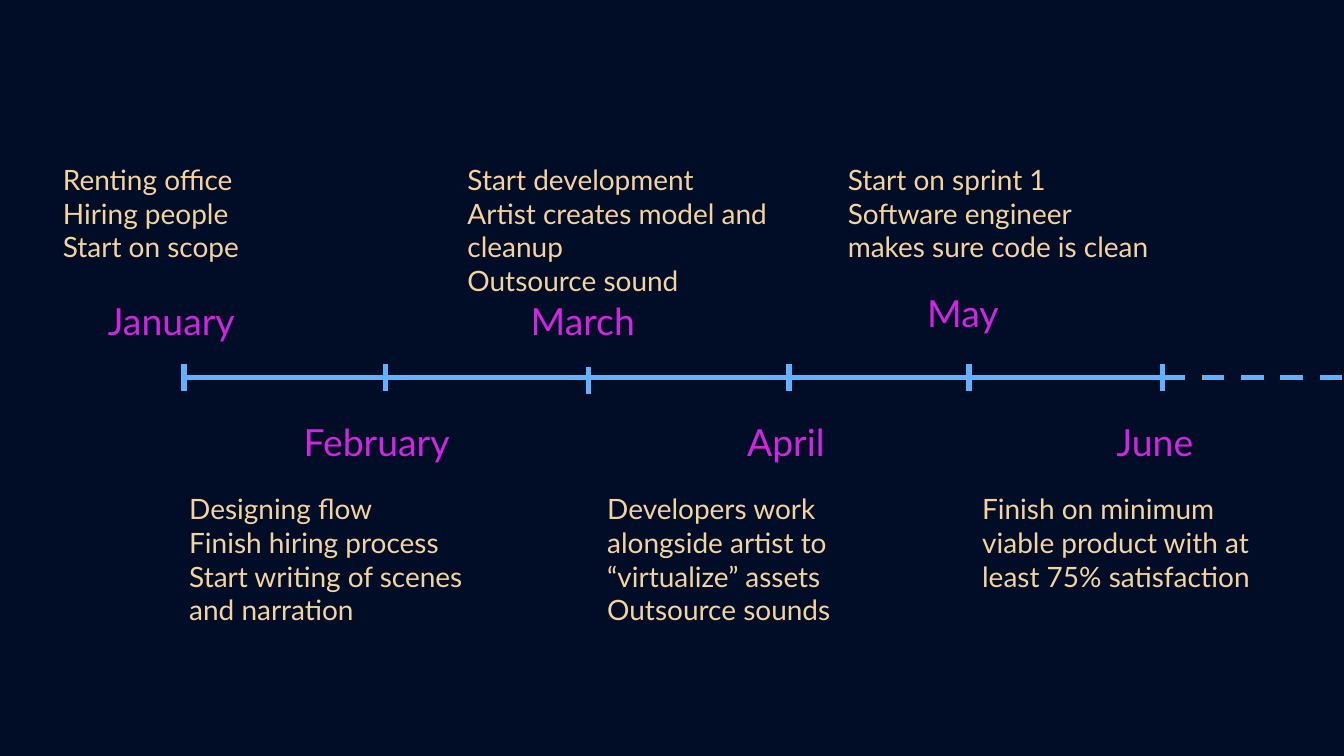
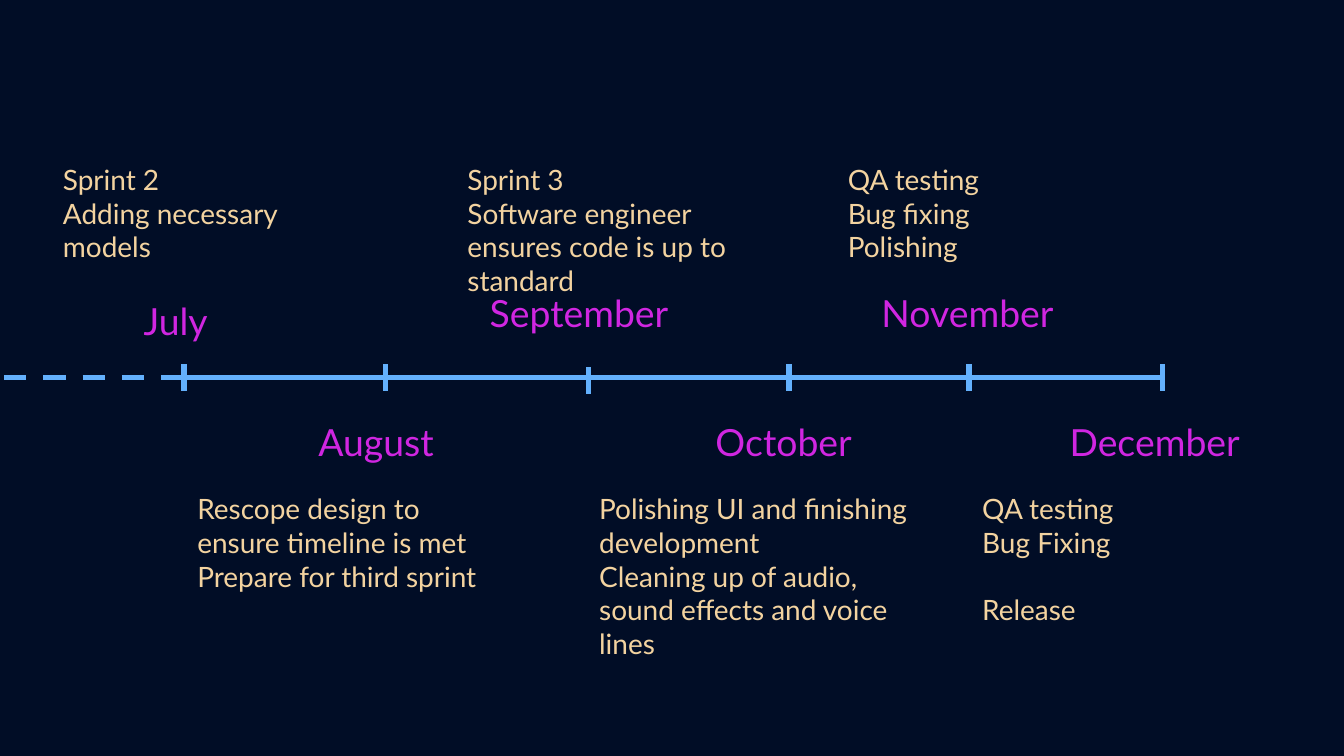
"""Builds a two-slide timeline of a project year."""
from pptx import Presentation
from pptx.dml.color import RGBColor as Rgb
from pptx.enum.dml import MSO_LINE as Dash
from pptx.enum.shapes import MSO_CONNECTOR as Conn
from pptx.enum.text import MSO_AUTO_SIZE as Fit
from pptx.oxml.ns import qn
from pptx.util import Inches, Pt

HUES = {"back": "010D26", "line": "63B0FC", "month": "D026E1", "task": "F3D3A0"}
FONT = "Lato"
AXIS = 2.81
TICKS = [1.37, 2.87, 4.38, 5.87, 7.21, 8.65]
TASK_TOP = [1.11, 3.56]

HALVES = [
    ((8.65, 10.07), [
        ("January", 1.33, 2.12, 0.37, 2.5, 0.96,
         ["Renting office", "Hiring people", "Start on scope"]),
        ("February", 1.42, 3.02, 1.31, 2.56, 1.21,
         ["Designing flow", "Finish hiring process",
          "Start writing of scenes and narration"]),
        ("March", 1.06, 2.12, 3.38, 2.48, 1.21,
         ["Start development", "Artist creates model and cleanup",
          "Outsource sound"]),
        ("April", 0.82, 3.02, 4.42, 2.44, 1.21,
         ["Developers work alongside artist to “virtualize” assets",
          "Outsource sounds"]),
        ("May", 0.82, 2.06, 6.21, 2.44, 1.21,
         ["Start on sprint 1", "Software engineer makes sure code is clean"]),
        ("June", 0.88, 3.02, 7.21, 2.44, 0.96,
         ["Finish on minimum viable product with at least 75% satisfaction"]),
    ]),
    ((0.03, 1.45), [
        ("July", 0.8, 2.12, 0.37, 2.5, 0.96,
         ["Sprint 2", "Adding necessary models"]),
        ("August", 1.2, 3.02, 1.37, 2.5, 0.96,
         ["Rescope design to ensure timeline is met",
          "Prepare for third sprint"]),
        ("September", 1.67, 2.06, 3.38, 2.5, 1.21,
         ["Sprint 3", "Software engineer ensures code is up to standard"]),
        ("October", 1.29, 3.02, 4.36, 2.5, 1.46,
         ["Polishing UI and finishing development",
          "Cleaning up of audio, sound effects and voice lines"]),
        ("November", 1.5, 2.06, 6.21, 2.44, 1.21,
         ["QA testing", "Bug fixing", "Polishing"]),
        ("December", 1.58, 3.02, 7.21, 2.44, 1.21,
         ["QA testing", "Bug Fixing", "Release"]),
    ]),
]


def add_line(slide, x1, y1, x2, y2, dash=None):
    line = slide.shapes.add_connector(
        Conn.STRAIGHT, Inches(x1), Inches(y1), Inches(x2), Inches(y2))
    line.line.color.rgb = Rgb.from_string(HUES["line"])
    line.line.width = Pt(3)
    if dash:
        line.line.dash_style = dash
    props = line.element.spPr
    props.append(props.makeelement(qn("a:effectLst"), {}))


def add_text(slide, x, y, w, h, rows, size, hue):
    box = slide.shapes.add_textbox(Inches(x), Inches(y), Inches(w), Inches(h))
    frame = box.text_frame
    frame.word_wrap = True
    frame.auto_size = Fit.SHAPE_TO_FIT_TEXT
    frame.margin_left = frame.margin_right = Inches(0.1)
    frame.margin_top = frame.margin_bottom = Inches(0.1)
    for i, row in enumerate(rows):
        para = frame.paragraphs[0] if i == 0 else frame.add_paragraph()
        if row == "Release":
            para.space_before = Pt(18)
        run = para.add_run()
        run.text = row
        run.font.name = FONT
        run.font.size = Pt(size)
        run.font.color.rgb = Rgb.from_string(HUES[hue])


deck = Presentation()
deck.slide_width = Inches(10)
deck.slide_height = Inches(10 * 9 / 16)

for (start, end), months in HALVES:
    slide = deck.slides.add_slide(deck.slide_layouts[6])
    fill = slide.background.fill
    fill.solid()
    fill.fore_color.rgb = Rgb.from_string(HUES["back"])

    add_line(slide, 1.35, AXIS, 8.65, AXIS)
    add_line(slide, start, AXIS, end, AXIS, Dash.DASH)
    for i, x in enumerate(TICKS):
        mid = AXIS + 0.02 if i == 2 else AXIS
        add_line(slide, x, mid - 0.1, x, mid + 0.1)

    for i, (name, wide, top, left, width, height, tasks) in enumerate(months):
        add_text(slide, TICKS[i] - wide / 2, top, wide, 0.54, [name], 20, "month")
        add_text(slide, left, TASK_TOP[i % 2], width, height, tasks, 15, "task")

deck.save("out.pptx")
